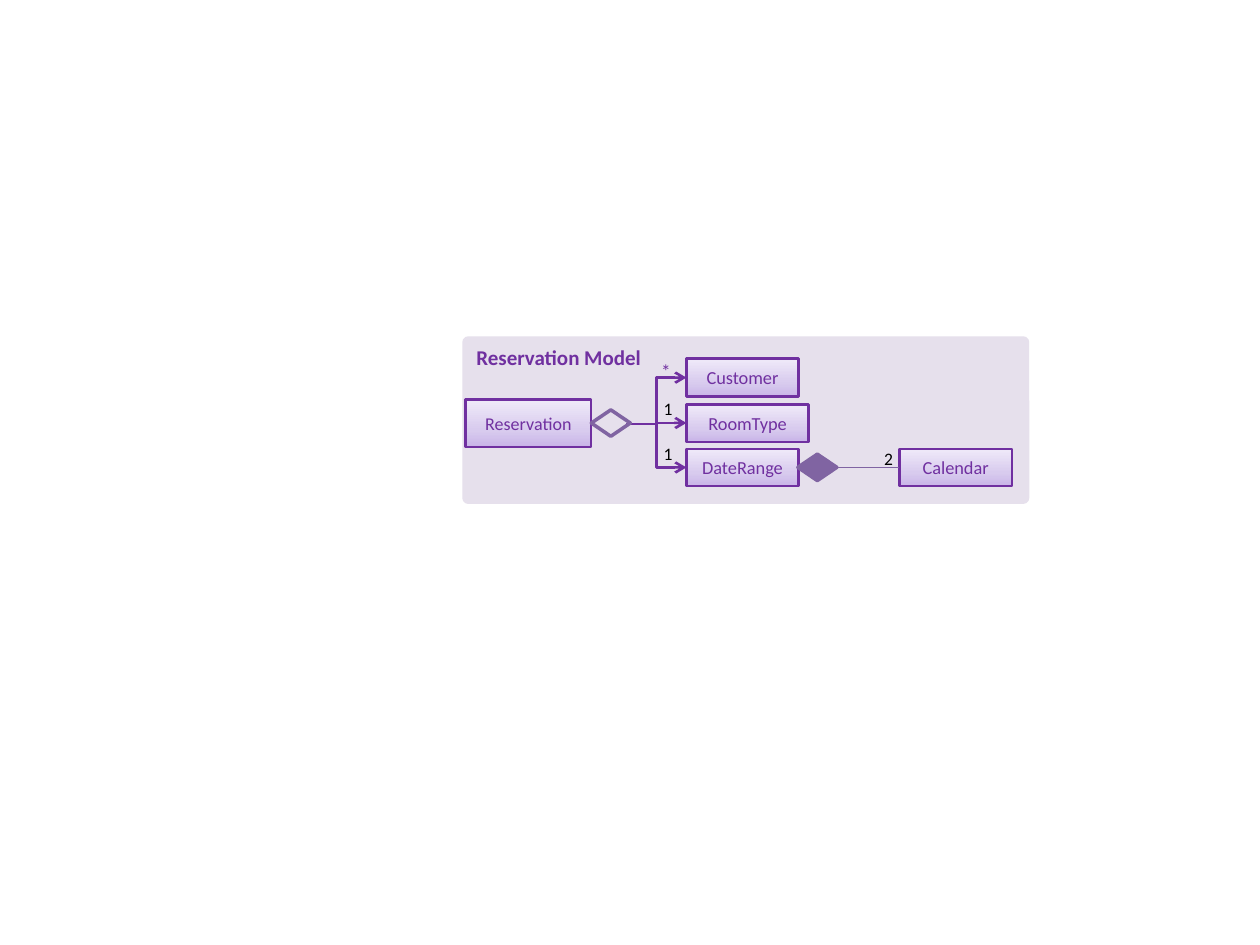
from copy import deepcopy

from lxml import etree
from pptx import Presentation
from pptx.dml.color import RGBColor
from pptx.enum import shapes, text
from pptx.oxml.ns import qn
from pptx.util import Pt

PURPLE, VIOLET, LILAC, BLACK = "7030A0", "8064A2", "E6E0EC", "000000"
GRADIENT = [(0, "C9B5E8"), (0.35, "D8CBEE"), (1, "F0EAF9")]
KINDS = shapes.MSO_SHAPE


def paint(color_format, color):
    """Set a colour format to a hex colour."""
    color_format.rgb = RGBColor.from_string(color)


def write(box, words, size=10.5, color=PURPLE, bold=False, centred=True,
          anchor=text.MSO_ANCHOR.MIDDLE, margins=(7.2, 3.6, 7.2, 3.6)):
    """Put one formatted line of text in a box."""
    frame = box.text_frame
    frame.word_wrap = True
    frame.vertical_anchor = anchor
    frame.margin_left, frame.margin_top, frame.margin_right, frame.margin_bottom = map(Pt, margins)
    para = frame.paragraphs[0]
    para.alignment = text.PP_ALIGN.CENTER if centred else text.PP_ALIGN.LEFT
    span = para.add_run()
    span.text = words
    span.font.name, span.font.size, span.font.bold = "Calibri", Pt(size), bold
    paint(span.font.color, color)


deck = Presentation()
deck.slide_width, deck.slide_height = Pt(720), Pt(540)
page = deck.slides.add_slide(deck.slide_layouts[6])

# Panel
panel = page.shapes.add_shape(KINDS.ROUNDED_RECTANGLE, Pt(264.2), Pt(192.2), Pt(324), Pt(95.8))
panel.adjustments[0] = 0.035
panel.shadow.inherit = False
panel.fill.solid()
paint(panel.fill.fore_color, LILAC)
panel.line.fill.background()
write(panel, "Reservation Model", size=12, bold=True, centred=False, anchor=text.MSO_ANCHOR.TOP)

# Class boxes: name, left, top, width, height, text size
classes = [
    ("Reservation", 266.2, 228.2, 71.6, 27.2, 10.3),
    ("Customer", 392.2, 204.9, 64.2, 21.6, 10.5),
    ("RoomType", 392.2, 231.1, 70, 21.4, 10.5),
    ("DateRange", 392.2, 256.5, 64.2, 21.2, 10.5),
    ("Calendar", 514, 256.5, 64.2, 21.2, 10.5),
]
for name, left, top, width, height, size in classes:
    box = page.shapes.add_shape(KINDS.RECTANGLE, Pt(left), Pt(top), Pt(width), Pt(height))
    box.shadow.inherit = False
    box.fill.gradient()
    box.fill.gradient_angle = 90
    stop_list = box.fill._xPr.find(qn("a:gradFill")).find(qn("a:gsLst"))
    stop_list.append(deepcopy(stop_list[0]))
    for stop, (position, color) in zip(box.fill.gradient_stops, GRADIENT):
        stop.position = position
        paint(stop.color, color)
    paint(box.line.color, PURPLE)
    box.line.width = Pt(1.5)
    write(box, name, size=size)

# Links: kind, start, end, colour, width, arrow
elbow, straight = shapes.MSO_CONNECTOR.ELBOW, shapes.MSO_CONNECTOR.STRAIGHT
links = [(elbow, (358, 242.3), (392.2, y), PURPLE, 1.5, True) for y in (215.8, 241.7, 267.1)]
links.append((straight, (478.2, 267.1), (514, 267.1), VIOLET, 0.75, False))
for kind, start, end, color, width, arrow in links:
    link = page.shapes.add_connector(kind, *map(Pt, start + end))
    paint(link.line.color, color)
    link.line.width = Pt(width)
    if arrow:
        etree.SubElement(link.line._get_or_add_ln(), qn("a:tailEnd"), type="arrow")
    etree.SubElement(link._element.spPr, qn("a:effectLst"))

# Aggregation (hollow) and composition (filled) diamonds
for left, top, filled in [(337.9, 234.2, False), (455.9, 259.5, True)]:
    diamond = page.shapes.add_shape(KINDS.DIAMOND, Pt(left), Pt(top), Pt(22.3), Pt(15.1))
    diamond.shadow.inherit = False
    if filled:
        diamond.fill.solid()
        paint(diamond.fill.fore_color, VIOLET)
    else:
        diamond.fill.background()
    paint(diamond.line.color, VIOLET)
    diamond.line.width = Pt(2)

# Multiplicities
star = page.shapes.add_textbox(Pt(373), Pt(205.2), Pt(15.1), Pt(14.4))
write(star, "*", size=11, anchor=text.MSO_ANCHOR.TOP, margins=(0, 0, 0, 0))
for digit, left, top in [("2", 498.2, 252.7), ("1", 372.2, 223.9), ("1", 372.2, 249.8)]:
    label = page.shapes.add_textbox(Pt(left), Pt(top), Pt(15.8), Pt(19.4))
    write(label, digit, size=10, color=BLACK, centred=False,
          anchor=text.MSO_ANCHOR.TOP, margins=(7.2, 3.6, 0, 3.6))

deck.save("out.pptx")
